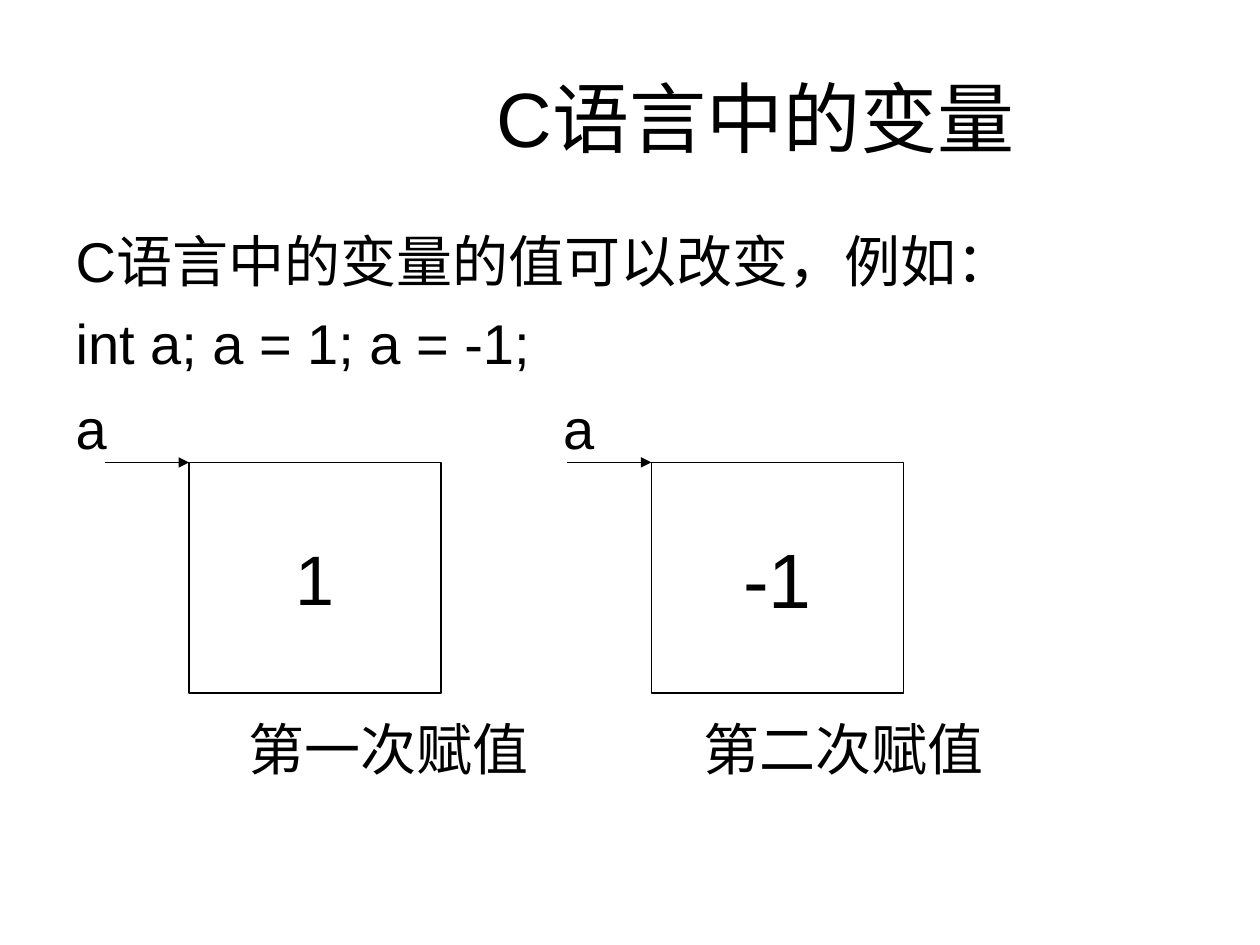
from lxml.etree import SubElement
from pptx import Presentation
from pptx.dml.color import RGBColor
from pptx.enum.shapes import MSO_CONNECTOR, MSO_SHAPE
from pptx.enum.text import MSO_ANCHOR, MSO_AUTO_SIZE, PP_ALIGN
from pptx.oxml.ns import qn
from pptx.util import Inches, Pt

FONT = "Arial"
BLACK = "000000"


def color(code):
    return RGBColor.from_string(code)


def place(shape, box):
    shape.left, shape.top, shape.width, shape.height = map(Inches, box)


def style(para, size, align):
    para.alignment = align
    para.font.name = FONT
    para.font.size = Pt(size)
    para.font.color.rgb = color(BLACK)


def plain(para):
    """Remove bullet and indent."""
    props = para._p.get_or_add_pPr()
    props.set("marL", "0")
    props.set("indent", "0")
    SubElement(props, qn("a:buNone"))


def add_title(slide, box, text):
    title = slide.shapes.title
    place(title, box)
    frame = title.text_frame
    frame.text = text
    frame.margin_left = Inches(2.1)
    frame.vertical_anchor = MSO_ANCHOR.MIDDLE
    frame.auto_size = MSO_AUTO_SIZE.NONE
    style(frame.paragraphs[0], 44, PP_ALIGN.CENTER)


def add_body(slide, box, lines):
    body = slide.placeholders[1]
    place(body, box)
    frame = body.text_frame
    frame.text = "\n".join(lines)
    frame.auto_size = MSO_AUTO_SIZE.NONE
    for para in frame.paragraphs:
        plain(para)
        para.space_before = Pt(8)
        style(para, 32, PP_ALIGN.LEFT)


def add_label(slide, box, text):
    frame = slide.shapes.add_textbox(*map(Inches, box)).text_frame
    frame.text = text
    frame.word_wrap = True
    frame.vertical_anchor = MSO_ANCHOR.MIDDLE
    frame.margin_left = frame.margin_right = 0
    frame.margin_top = frame.margin_bottom = 0
    style(frame.paragraphs[0], 32, PP_ALIGN.LEFT)


def add_cell(slide, box, value, size, name, note):
    """A memory cell with its arrow, name and note (text, shift)."""
    left, top, _, height = box
    # Cell
    cell = slide.shapes.add_shape(MSO_SHAPE.RECTANGLE, *map(Inches, box))
    cell.shadow.inherit = False
    cell.fill.background()
    cell.line.color.rgb = color(BLACK)
    cell.line.width = Pt(0.75)
    frame = cell.text_frame
    frame.text = value
    frame.word_wrap = False
    frame.vertical_anchor = MSO_ANCHOR.MIDDLE
    style(frame.paragraphs[0], size, PP_ALIGN.CENTER)
    # Arrow to the top left corner
    arrow = slide.shapes.add_connector(
        MSO_CONNECTOR.STRAIGHT, Inches(left - 0.67), Inches(top),
        Inches(left), Inches(top))
    arrow.line.color.rgb = color(BLACK)
    arrow.line.width = Pt(0.75)
    SubElement(arrow.line._get_or_add_ln(), qn("a:tailEnd"), type="triangle")
    SubElement(arrow._element.spPr, qn("a:effectLst"))
    # Name above the arrow, note below the cell
    text, shift = name
    add_label(slide, (left + shift, top - 0.53, 0.5, 0.5), text)
    text, shift = note
    add_label(slide, (left + shift, top + height + 0.14, 2.5, 0.6), text)


def main():
    deck = Presentation()
    deck.slide_width, deck.slide_height = Inches(10), Inches(7.5)
    slide = deck.slides.add_slide(deck.slide_layouts[1])

    add_title(slide, (0.5, 0.3, 9, 1.25), "C语言中的变量")
    add_body(slide, (0.5, 1.75, 9, 4.95), [
        "C语言中的变量的值可以改变，例如：",
        "int a; a = 1; a = -1;",
    ])
    # The two states of the variable
    add_cell(slide, (1.5, 3.67, 2, 1.83), "1", 40,
             ("a", -0.9), ("第一次赋值", 0.47))
    add_cell(slide, (5.17, 3.67, 2, 1.83), "-1", 44,
             ("a", -0.7), ("第二次赋值", 0.41))

    deck.save("out.pptx")


if __name__ == "__main__":
    main()
